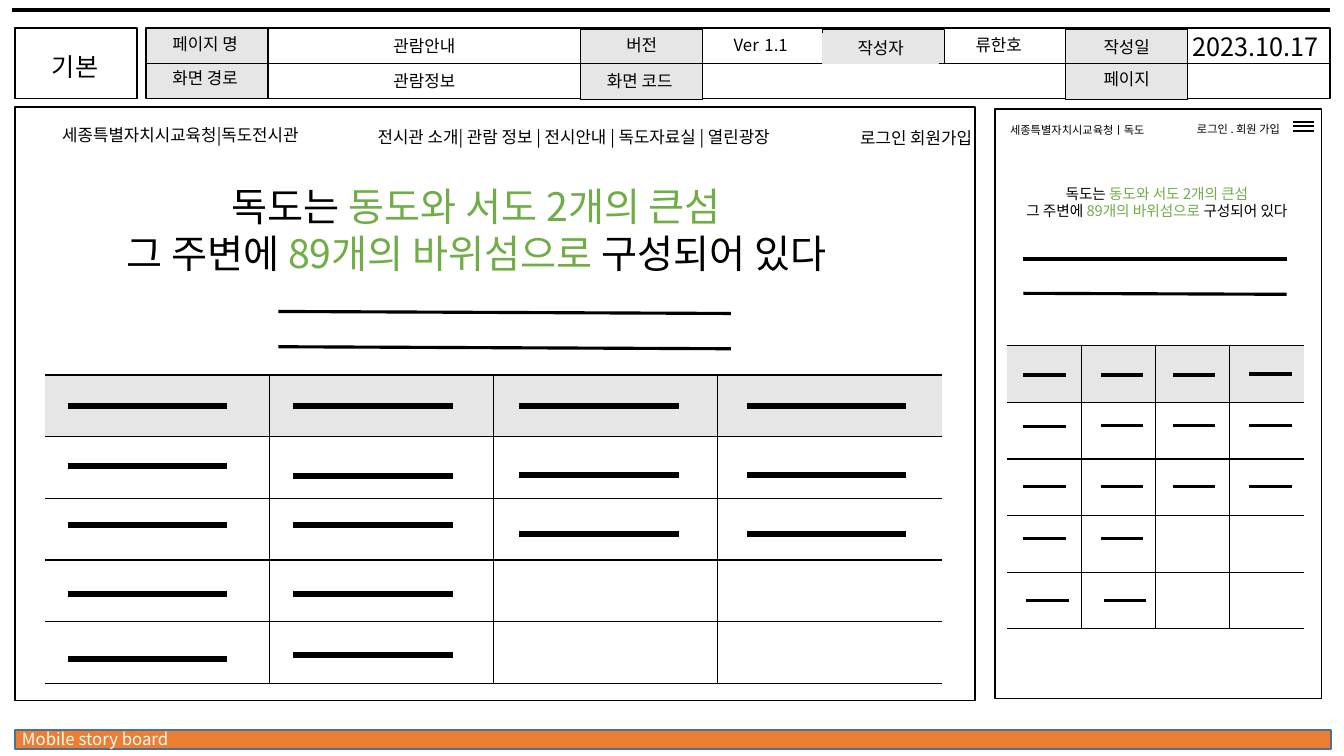
from lxml import etree
from pptx import Presentation
from pptx.dml.color import RGBColor
from pptx.enum.shapes import MSO_CONNECTOR, MSO_SHAPE
from pptx.enum.text import MSO_AUTO_SIZE, PP_ALIGN as AL
from pptx.oxml.ns import qn
from pptx.util import Inches, Pt

BLACK = RGBColor(0x00, 0x00, 0x00)
WHITE = RGBColor(0xFF, 0xFF, 0xFF)
GREY = RGBColor(0xE7, 0xE6, 0xE6)
GREEN = RGBColor(0x70, 0xAD, 0x47)
ORANGE = RGBColor(0xED, 0x7D, 0x31)
BLUE = RGBColor(0x43, 0x73, 0x9E)
FONT = "Noto Sans CJK KR"

# Slide grid: 1333 columns by 750 rows of square units
U = Inches(0.01)
prs = Presentation()
prs.slide_width, prs.slide_height = 1333 * U, 750 * U
s = prs.slides.add_slide(prs.slide_layouts[6])


def text(x, y, w, h, *paras, size=12, align=AL.CENTER, color=BLACK, outline=None):
    """Each paragraph is a string or a list of (text, colour, size) runs."""
    sp = s.shapes.add_textbox(x * U, y * U, w * U, h * U)
    if outline is not None:
        sp.line.color.rgb = outline
        sp.line.width = Pt(0.75)
    tf = sp.text_frame
    tf.word_wrap = True
    tf.auto_size = MSO_AUTO_SIZE.SHAPE_TO_FIT_TEXT
    for i, para in enumerate(paras):
        p = tf.add_paragraph() if i else tf.paragraphs[0]
        p.alignment = align
        runs = [(para, color, size)] if isinstance(para, str) else para
        for words, run_color, run_size in runs:
            r = p.add_run()
            r.text = words
            r.font.name = FONT
            r.font.size = Pt(run_size)
            r.font.color.rgb = run_color
            ea = etree.SubElement(r.font._element, qn("a:ea"))
            ea.set("typeface", FONT)


def line(x1, y1, x2, y2, width):
    c = s.shapes.add_connector(MSO_CONNECTOR.STRAIGHT, x1 * U, y1 * U, x2 * U, y2 * U)
    c.line.color.rgb = BLACK
    c.line.width = Pt(width)
    etree.SubElement(c._element.spPr, qn("a:effectLst"))
    return c


# Top rule, footer bar, panels and header cells
line(12, 10, 1319, 10, 3)
boxes = {}
for name, x, y, w, h, fill, border in [
    ("footer", 15, 724, 1305, 19, ORANGE, BLUE),
    ("type", 15, 28, 121, 70, None, BLACK),
    ("header", 145, 28, 1174, 70, None, BLACK),
    ("desktop", 15, 106, 952, 589, None, BLACK),
    ("mobile", 987, 108, 324, 585, None, BLACK),
    ("page", 145, 28, 121, 70, GREY, BLACK),
    ("version", 576, 29, 121, 70, GREY, BLACK),
    ("author", 816, 29, 121, 34, GREY, BLACK),
    ("date", 1057, 29, 121, 70, GREY, BLACK),
]:
    sp = s.shapes.add_shape(MSO_SHAPE.RECTANGLE, x * U, y * U, w * U, h * U)
    sp.shadow.inherit = False
    if fill is None:
        sp.fill.background()
    else:
        sp.fill.solid()
        sp.fill.fore_color.rgb = fill
    sp.line.color.rgb = border
    sp.line.width = Pt(1)
    boxes[name] = sp
divider = line(145, 63, 1319, 63, 0.5)
divider.begin_connect(boxes["header"], 1)
divider.end_connect(boxes["header"], 3)

# Footer and header texts
text(12, 718, 320, 30, "Mobile story board", align=AL.LEFT, color=WHITE)
text(17, 46, 115, 42, "기본", size=18)
for x, y, w, label in [
    (146, 29, 115, "페이지 명"), (146, 62, 115, "화면 경로"),
    (579, 30, 115, "버전"), (577, 65, 115, "화면 코드"),
    (1060, 32, 115, "작성일"), (1060, 63, 115, "페이지"),
    (890, 30, 201, "류한호"),
    (306, 31, 230, "관람안내"), (306, 65, 230, "관람정보"),
]:
    text(x, y, w, 30, label)
text(816, 33, 115, 30, "작성자", outline=GREY)
text(1145, 26, 201, 40, "2023.10.17", size=18)
text(654, 21, 201, 40, [("Ver", BLACK, 12), (" ", BLACK, 18), ("1.1", BLACK, 12)])

# Navigation of both screens
text(26, 119, 306, 30, "세종특별자치시교육청|독도전시관")
text(337, 121, 464, 30, "전시관 소개| 관람 정보 | 전시안내 | 독도자료실 | 열린광장")
text(583, 122, 391, 30, "로그인 회원가입", align=AL.RIGHT)
text(992, 117, 187, 24, "세종특별자치시교육청ㅣ독도", size=8, align=AL.LEFT)
text(1158, 116, 124, 24, "로그인 . 회원 가입 ", size=8, align=AL.RIGHT)
for y in (121, 125, 130):
    line(1282, y, 1303, y, 1)

# Headline of both screens
for x, y, w, h, size in [(63, 176, 819, 104, 28), (981, 178, 333, 47, 10.5)]:
    text(x, y, w, h,
         [("독도는", BLACK, size), (" 동도와 서도 2개의 큰섬", GREEN, size)],
         [("그 주변에 ", BLACK, size), ("89개의 바위섬으로 ", GREEN, size),
          ("구성되어 있다", BLACK, size)])

# Body text strokes under the headlines
for stroke in [(276, 309, 725, 311), (276, 344, 725, 346),
               (1015, 257, 1276, 257), (1015, 291, 1276, 292)]:
    line(*stroke, 2.25)

# Tables with open sides, and the strokes standing for their contents
SIZE = 5, 4
for x, y, w, h, length, width, columns in [
    (45, 372, 889, 306, 158, 4.5, [
        (67, (403, 462, 521, 589, 654)), (291, (403, 472, 521, 589, 650)),
        (515, (403, 471, 530)), (741, (403, 471, 530))]),
    (999, 343, 294, 281, 42, 2.25, [
        (1015, (372, 423, 483, 534)), (1018, (596,)),
        (1092, (372, 422, 483, 534)), (1095, (596,)),
        (1163, (372, 422, 483)), (1239, (371, 422, 483))]),
]:
    table = s.shapes.add_table(*SIZE, x * U, y * U, w * U, h * U).table
    table.first_row = table.horz_banding = False
    for row in range(SIZE[0]):
        for col in range(SIZE[1]):
            cell = table.cell(row, col)
            cell.fill.solid()
            cell.fill.fore_color.rgb = WHITE if row else GREY
            tcPr = cell._tc.get_or_add_tcPr()
            shown = {"L": col > 0, "R": col < SIZE[1] - 1, "T": True, "B": True}
            for i, (side, drawn) in enumerate(shown.items()):
                ln = etree.Element(qn(f"a:ln{side}"), w=str(Pt(1)))
                if drawn:
                    fill = etree.SubElement(ln, qn("a:solidFill"))
                    etree.SubElement(fill, qn("a:srgbClr"), val=str(BLACK))
                else:
                    etree.SubElement(ln, qn("a:noFill"))
                tcPr.insert(i, ln)
    for left, rows in columns:
        for top in rows:
            line(left, top, left + length, top, width)

prs.save("out.pptx")
